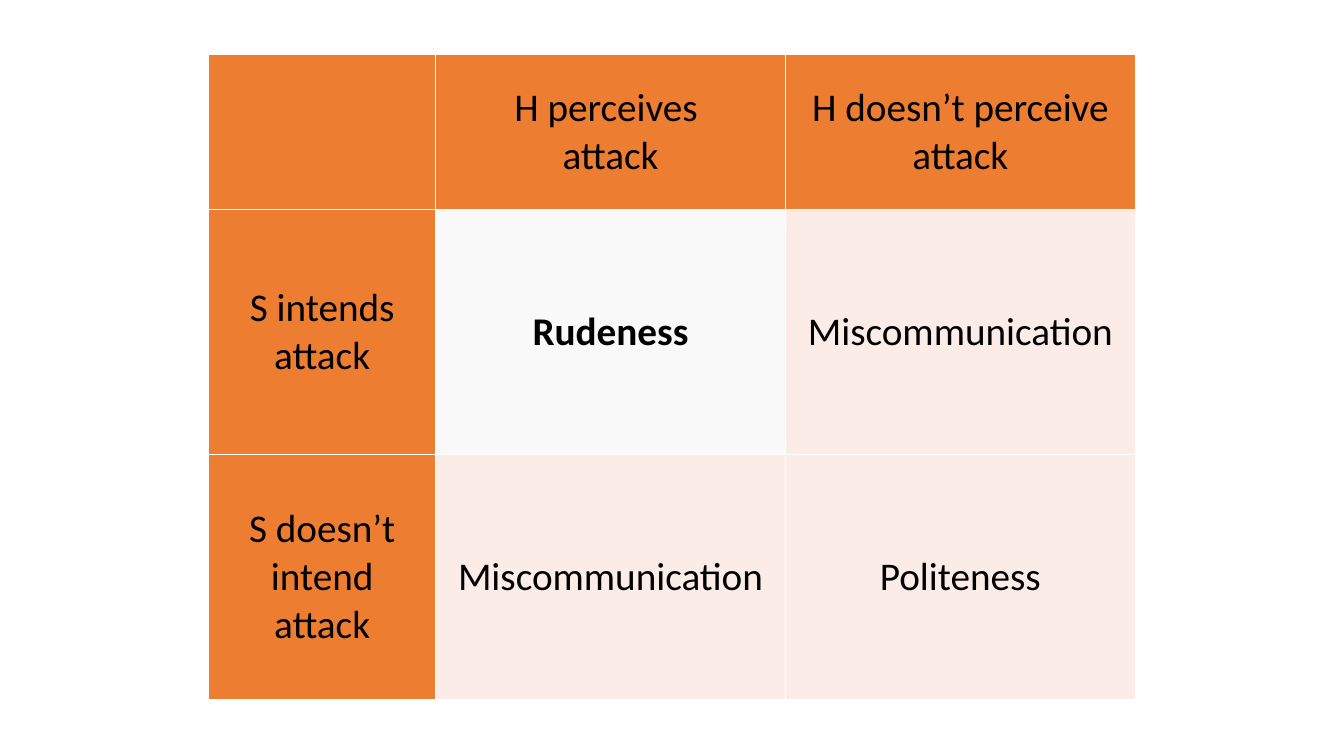
import pptx
import pptx.dml.color
import pptx.enum.text
import pptx.util

COLORS = {"header": "ED7D31", "rudeness": "F9F9F9", "outcome": "FCECE8", "text": "000000"}
SLIDE_WIDTH, SLIDE_HEIGHT = 13.33, 7.5
MATRIX_LEFT, MATRIX_TOP = 2.07, 0.54
COLUMN_WIDTHS = [2.25, 3.47, 3.47]
ROW_HEIGHTS = [1.54, 2.43, 2.43]
ATTACK_MATRIX = [
    ["", "H perceives \vattack", "H doesn’t perceive attack"],
    ["S intends attack", "Rudeness", "Miscommunication"],
    ["S doesn’t intend attack", "Miscommunication", "Politeness"],
]


def rgb(name):
    """Return the named colour."""
    return pptx.dml.color.RGBColor.from_string(COLORS[name])


def fill_cell(cell, wording, role):
    """Write centred wording into a cell and colour it for its role."""
    cell.fill.solid()
    cell.fill.fore_color.rgb = rgb(role)
    cell.vertical_anchor = pptx.enum.text.MSO_ANCHOR.MIDDLE
    statement = cell.text_frame.paragraphs[0]
    statement.text = wording
    statement.alignment = pptx.enum.text.PP_ALIGN.CENTER
    statement.font.name = "Calibri"
    statement.font.size = pptx.util.Pt(28)
    statement.font.bold = role == "rudeness"
    statement.font.color.rgb = rgb("text")


def cell_role(row, column):
    """Tell headers, the rudeness cell and the other outcomes apart."""
    if row == 0 or column == 0:
        return "header"
    return "rudeness" if row == column == 1 else "outcome"


def add_matrix(slide):
    """Add the table of intended against perceived attack."""
    matrix = slide.shapes.add_table(
        len(ROW_HEIGHTS), len(COLUMN_WIDTHS),
        pptx.util.Inches(MATRIX_LEFT), pptx.util.Inches(MATRIX_TOP),
        pptx.util.Inches(sum(COLUMN_WIDTHS)), pptx.util.Inches(sum(ROW_HEIGHTS)),
    ).table
    matrix.first_row = False
    matrix.horz_banding = False
    for column, width in zip(matrix.columns, COLUMN_WIDTHS):
        column.width = pptx.util.Inches(width)
    for row, height in zip(matrix.rows, ROW_HEIGHTS):
        row.height = pptx.util.Inches(height)
    for row, wordings in enumerate(ATTACK_MATRIX):
        for column, wording in enumerate(wordings):
            fill_cell(matrix.cell(row, column), wording, cell_role(row, column))


def main():
    """Build and save the slide."""
    presentation = pptx.Presentation()
    presentation.slide_width = pptx.util.Inches(SLIDE_WIDTH)
    presentation.slide_height = pptx.util.Inches(SLIDE_HEIGHT)
    add_matrix(presentation.slides.add_slide(presentation.slide_layouts[6]))
    presentation.save("out.pptx")


if __name__ == "__main__":
    main()
